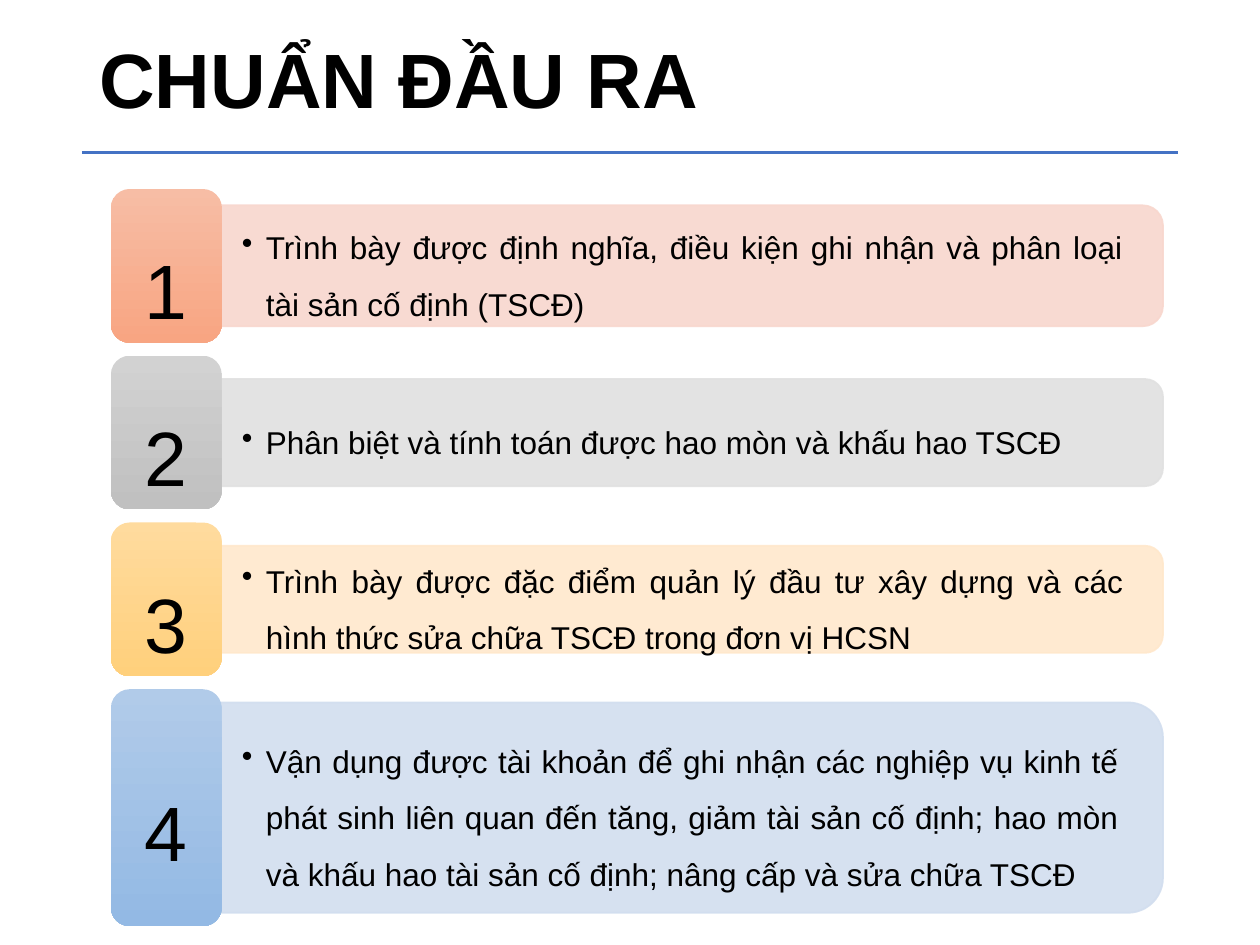
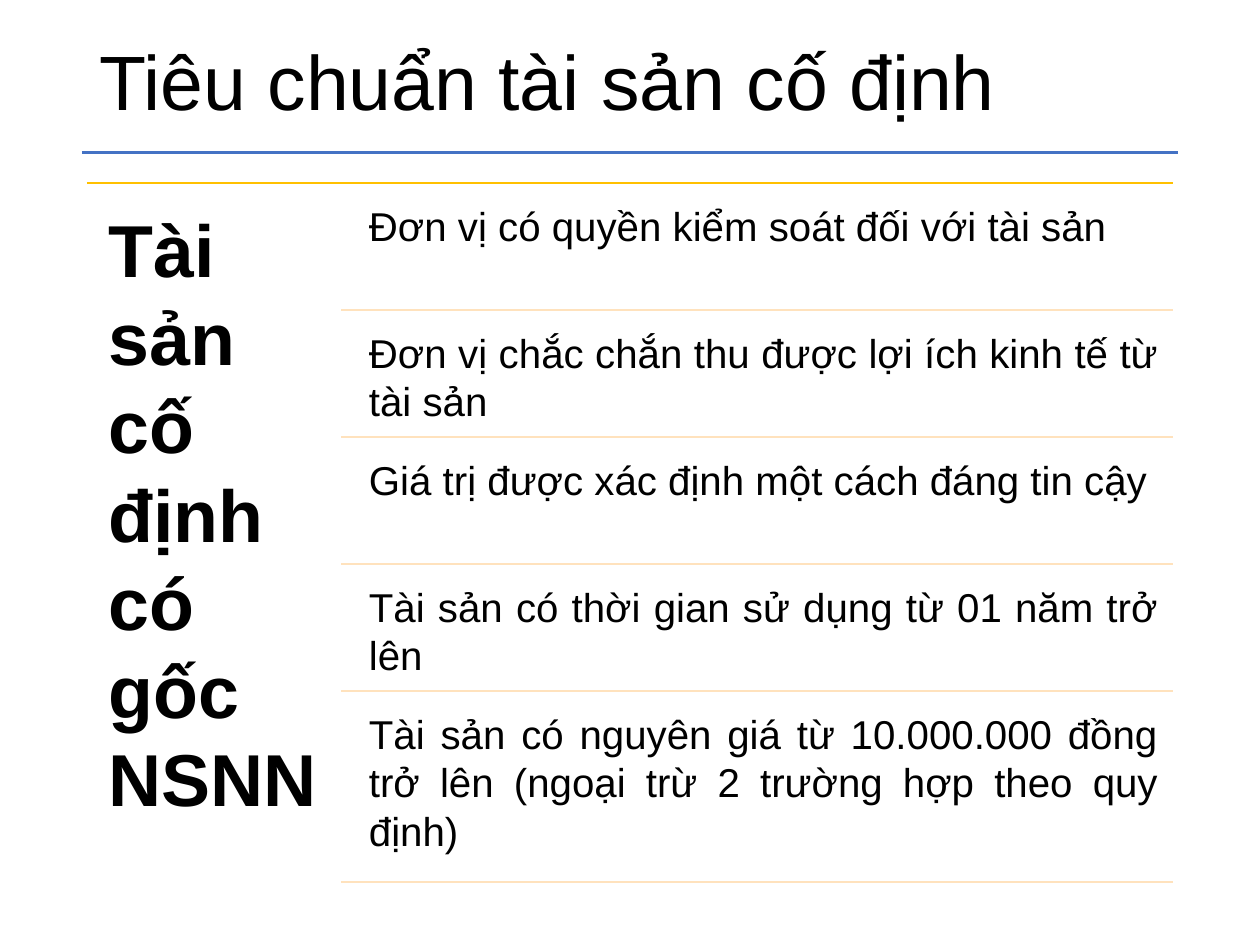
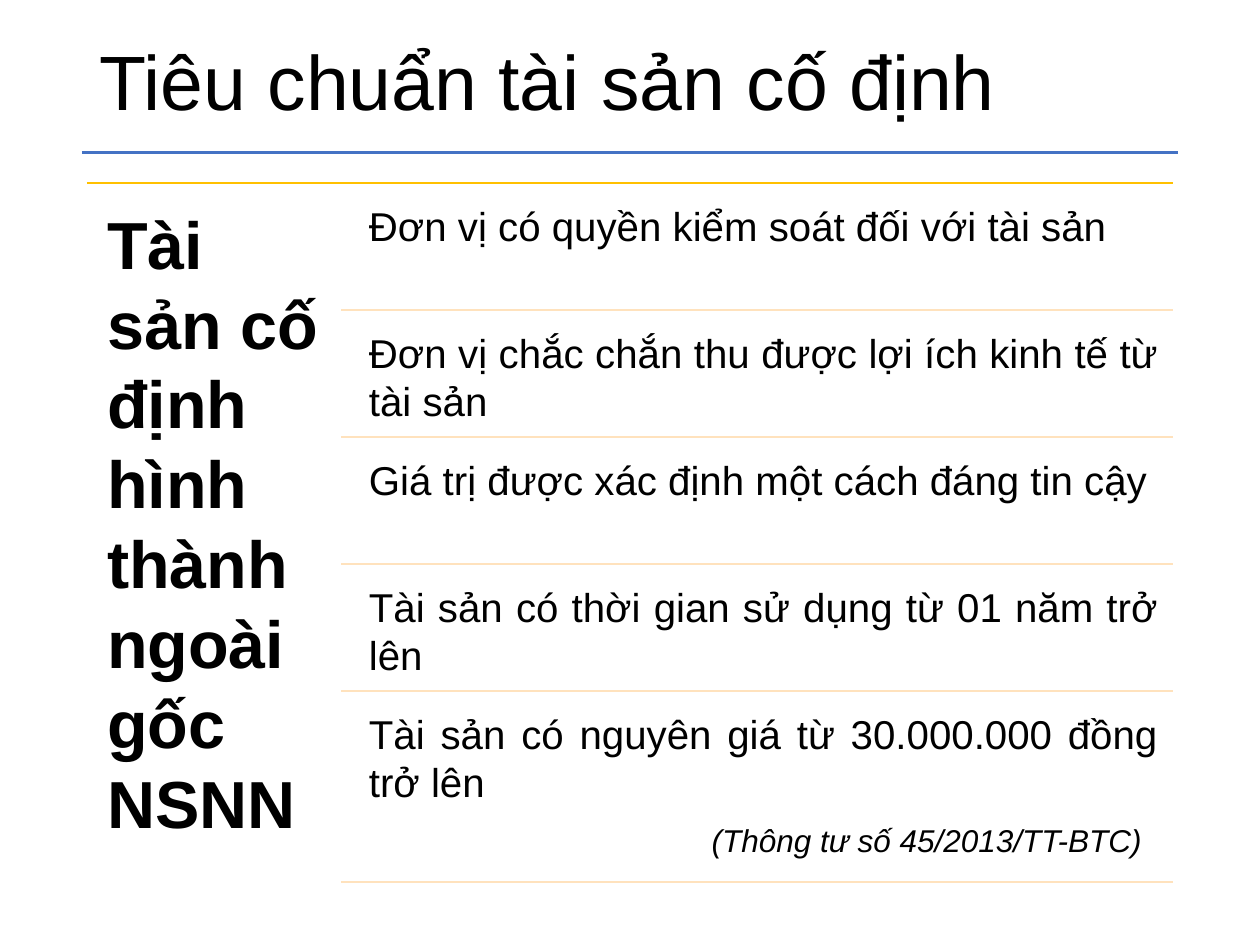
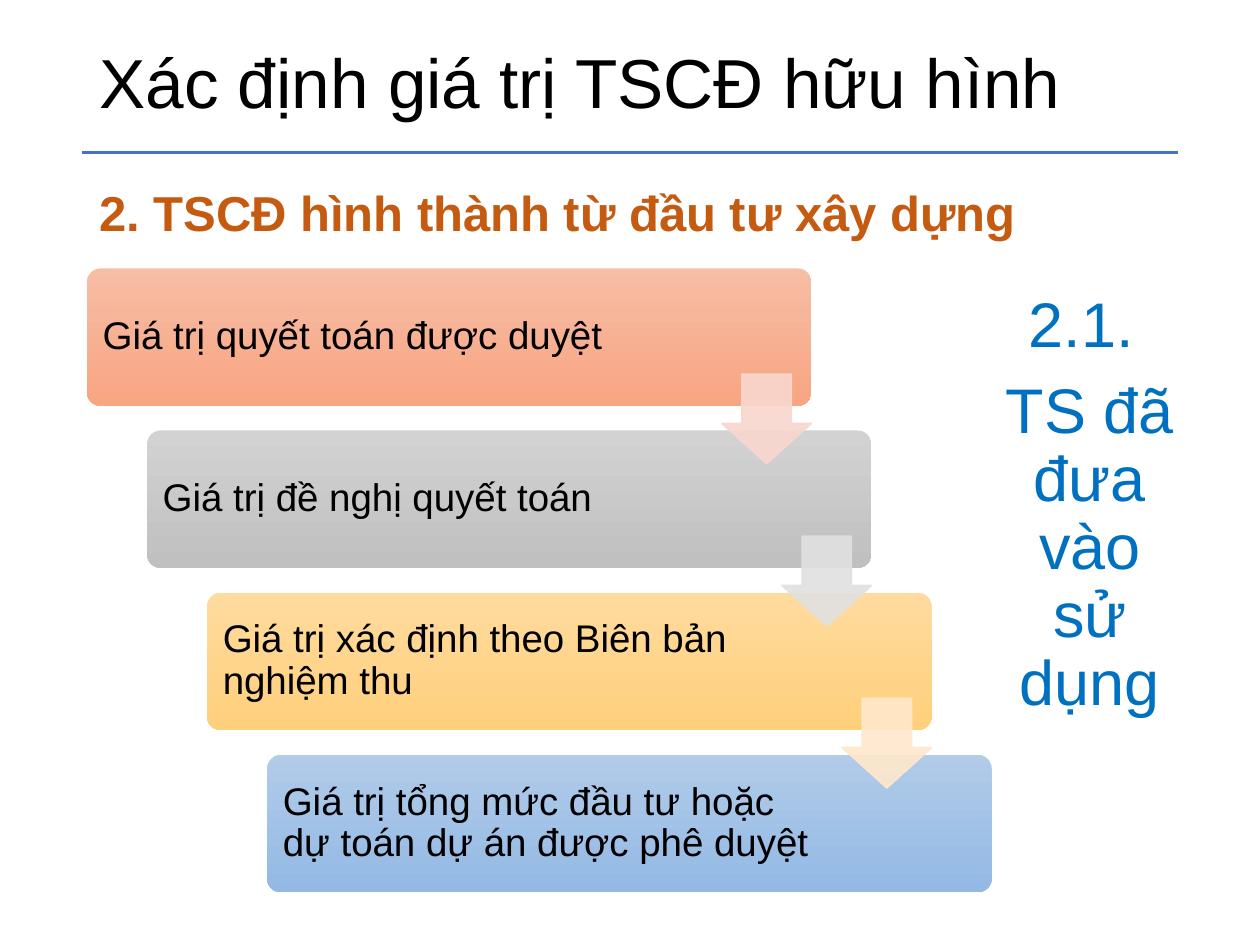
from dataclasses import dataclass

from lxml.etree import SubElement
from pptx import Presentation
from pptx.dml.color import RGBColor
from pptx.enum.shapes import MSO_CONNECTOR, MSO_SHAPE
from pptx.enum.text import MSO_ANCHOR as Anchor, PP_ALIGN as Align
from pptx.oxml.ns import qn
from pptx.util import Inches, Pt

SLIDE_WIDTH, SLIDE_HEIGHT = Inches(10), Inches(7.5)
COLUMNS, ROWS = 100, 75
FONT = "Arial"
BLACK, HEADER_BLUE, GOLD, PALE_GOLD = "000000", "4472C4", "FFC000", "FFE2BD"
SUBTITLE_ORANGE, NOTE_BLUE = "C55A11", "0070C0"
GRADIENTS = [("F7BDA5", "F8A582"), ("D2D2D2", "C0C0C0"),
             ("FFDB9E", "FFD07C"), ("B1CBE9", "93B9E4")]
TINTS = ["F8D7CE", "E1E1E1", "FFE8CC", "D2DEEF"]

OUTCOMES = [
    ("Trình bày được định nghĩa, điều kiện ghi nhận và phân loại tài sản cố định (TSCĐ)", 12.2, 9.6),
    ("Phân biệt và tính toán được hao mòn và khấu hao TSCĐ", 12.2, 8.5),
    ("Trình bày được đặc điểm quản lý đầu tư xây dựng và các hình thức sửa chữa TSCĐ "
     "trong đơn vị HCSN", 12.2, 8.5),
    ("Vận dụng được tài khoản để ghi nhận các nghiệp vụ kinh tế phát sinh liên quan đến tăng, "
     "giảm tài sản cố định; hao mòn và khấu hao tài sản cố định; nâng cấp và sửa chữa TSCĐ",
     18.8, 16.7),
]
CRITERIA_TITLE = "Tiêu chuẩn tài sản cố định"
SHARED_CRITERIA = [
    "Đơn vị có quyền kiểm soát đối với tài sản",
    "Đơn vị chắc chắn thu được lợi ích kinh tế từ tài sản",
    "Giá trị được xác định một cách đáng tin cậy",
    "Tài sản có thời gian sử dụng từ 01 năm trở lên",
]
VALUATIONS = [
    "Giá trị quyết toán được duyệt",
    "Giá trị đề nghị quyết toán",
    "Giá trị xác định theo Biên bản nghiệm thu",
    "Giá trị tổng mức đầu tư hoặc dự toán dự án được phê duyệt",
]


@dataclass
class Box:
    """A rectangle measured in grid columns and rows."""
    left: float
    top: float
    width: float
    height: float

    def inner(self, left, top, width, height):
        """Return a box placed relative to this one."""
        return Box(self.left + left, self.top + top, width, height)

    def emu(self):
        """Return left, top, width and height in slide units."""
        column, row = SLIDE_WIDTH / COLUMNS, SLIDE_HEIGHT / ROWS
        return (round(self.left * column), round(self.top * row),
                round(self.width * column), round(self.height * row))


CRITERIA_BOX = Box(6.9, 14.5, 86.2, 56)


def rgb(hex_code):
    """Turn a hex string into a colour."""
    return RGBColor.from_string(hex_code)


def add_rule(slide, box, color, weight):
    """Draw a horizontal line along the top of the box."""
    left, top, width, _ = box.emu()
    rule = slide.shapes.add_connector(MSO_CONNECTOR.STRAIGHT, left, top, left + width, top)
    rule.line.color.rgb = rgb(color)
    rule.line.width = Pt(weight)
    SubElement(rule._element.spPr, qn("a:effectLst"))


def add_text(slide, box, lines, size, color=BLACK, bold=False, italic=False, align=Align.LEFT,
             anchor=Anchor.TOP, spacing=1.0, before=0, insets=(0.1, 0.05), bullet=False):
    """Add a wrapped text box with one paragraph for each line."""
    frame = slide.shapes.add_textbox(*box.emu()).text_frame
    frame.word_wrap = True
    frame.vertical_anchor = anchor
    frame.margin_left = frame.margin_right = Inches(insets[0])
    frame.margin_top = frame.margin_bottom = Inches(insets[1])
    frame.text = "\n".join(lines)
    for index, paragraph in enumerate(frame.paragraphs):
        if bullet:
            properties = paragraph._p.get_or_add_pPr()
            properties.set("marL", str(Inches(0.19)))
            properties.set("indent", str(-Inches(0.19)))
            SubElement(properties, qn("a:buChar")).set("char", "•")
            paragraph.level = 1
        paragraph.alignment = align
        paragraph.line_spacing = spacing
        if index:
            paragraph.space_before = Pt(before)
        for run in paragraph.runs:
            font = run.font
            font.name, font.size, font.bold, font.italic = FONT, Pt(size), bold, italic
            font.color.rgb = rgb(color)


def add_gradient_card(slide, box, colors, corner):
    """Add a rounded card shaded from top to bottom."""
    card = slide.shapes.add_shape(MSO_SHAPE.ROUNDED_RECTANGLE, *box.emu())
    card.adjustments[0] = corner
    card.shadow.inherit = False
    card.line.fill.background()
    card.fill.gradient()
    card.fill.gradient_angle = 270
    for stop, color in zip(card.fill.gradient_stops, colors):
        stop.color.rgb = rgb(color)


def add_tinted_shape(slide, kind, box, color):
    """Add a preset shape whose fill and line are slightly transparent."""
    tinted = slide.shapes.add_shape(kind, *box.emu())
    tinted.shadow.inherit = False
    tinted.fill.solid()
    tinted.fill.fore_color.rgb = rgb(color)
    tinted.line.color.rgb = rgb(color)
    tinted.line.width = Pt(1)
    for solid in tinted._element.spPr.iter(qn("a:srgbClr")):
        SubElement(solid, qn("a:alpha")).set("val", "90000")
    return tinted


def add_titled_slide(deck, title, size=44, bold=False, height=10.6):
    """Add a blank slide with the shared header line and title."""
    slide = deck.slides.add_slide(deck.slide_layouts[6])
    add_rule(slide, Box(6.5, 12.1, 87, 0), HEADER_BLUE, 1.5)
    add_text(slide, Box(6.9, 1.5, 86.2, height), [title], size, bold=bold,
             anchor=Anchor.MIDDLE, spacing=0.9)
    return slide


def add_outcome(slide, box, number, outcome, band_height):
    """Add a numbered badge with its band, centred on the badge."""
    band = box.inner(7.7, (box.height - band_height) / 2, box.width - 7.7, band_height)
    upright = band.inner((band.width - band_height) / 2, (band_height - band.width) / 2,
                         band_height, band.width)
    add_tinted_shape(slide, MSO_SHAPE.ROUND_2_SAME_RECTANGLE, upright,
                     TINTS[number - 1]).rotation = 90
    label = band.inner(0, band_height * 0.05, band.width - band_height * 0.05, band_height * 0.9)
    add_text(slide, label, [outcome], 18, align=Align.JUSTIFY, anchor=Anchor.MIDDLE,
             spacing=1.5, insets=(0.27, 0.14), bullet=True)
    add_gradient_card(slide, box.inner(0, 0, 8.8, box.height), GRADIENTS[number - 1], 0.17)
    add_text(slide, box.inner(0.4, 0.4, 8, box.height - 0.8), [str(number)], 44,
             align=Align.CENTER, anchor=Anchor.MIDDLE, spacing=1.5, insets=(0.18, 0.09))


def add_outcome_list(slide, box):
    """Stack the learning outcomes with equal gaps."""
    gap = (box.height - sum(height for _, height, _ in OUTCOMES)) / (len(OUTCOMES) - 1)
    top = 0
    for number, (outcome, height, band_height) in enumerate(OUTCOMES, 1):
        add_outcome(slide, box.inner(0, top, box.width, height), number, outcome, band_height)
        top += height + gap


def add_criteria(slide, box, heading, heading_size, heading_inset, last_criterion):
    """Add a heading column and the ruled list of criteria beside it."""
    add_rule(slide, box, GOLD, 1)
    add_text(slide, box.inner(0, 0, 20.2, box.height), [heading], heading_size, bold=True,
             insets=(heading_inset, heading_inset))
    gap, top = 0.48, 0.48
    heights = [9.6] * len(SHARED_CRITERIA) + [14.7]
    for criterion, height in zip(SHARED_CRITERIA + [last_criterion], heights):
        add_text(slide, box.inner(21.4, top, 64.7, height), [criterion], 23,
                 align=Align.JUSTIFY, insets=(0.1, 0.1))
        add_rule(slide, box.inner(20.2, top + height, box.width - 20.2, 0), PALE_GOLD, 1)
        top += height + gap


def add_staircase(slide, box):
    """Add the valuation cards as descending steps joined by arrows."""
    width, height, arrow = 57.5, 10.9, 7.1
    last = len(VALUATIONS) - 1
    steps = [box.inner(index * (box.width - width) / last, index * (box.height - height) / last,
                       width, height) for index in range(len(VALUATIONS))]
    for step, valuation, colors in zip(steps, VALUATIONS, GRADIENTS):
        add_gradient_card(slide, step, colors, 0.1)
        add_text(slide, step.inner(0.35, 0.35, 45, height - 0.7), [valuation], 22,
                 anchor=Anchor.MIDDLE, spacing=0.9, insets=(0.09, 0.09))
    for step, tint in zip(steps[:-1], TINTS):
        pointer = add_tinted_shape(slide, MSO_SHAPE.DOWN_ARROW,
                                   step.inner(width - arrow, 8.4, arrow, arrow), tint)
        pointer.adjustments[0], pointer.adjustments[1] = 0.55, 0.45


def build_outcomes_slide(deck):
    """Build the slide of learning outcomes."""
    slide = add_titled_slide(deck, "CHUẨN ĐẦU RA", bold=True, height=10.3)
    add_outcome_list(slide, Box(8.8, 15, 83.5, 58.5))


def build_budget_criteria_slide(deck):
    """Build the criteria for assets funded by the state budget."""
    slide = add_titled_slide(deck, CRITERIA_TITLE)
    add_criteria(slide, CRITERIA_BOX, "Tài sản cố định có gốc NSNN", 42, 0.17,
                 "Tài sản có nguyên giá từ 10.000.000 đồng trở lên "
                 "(ngoại trừ 2 trường hợp theo quy định)")


def build_other_criteria_slide(deck):
    """Build the criteria for assets from other funding."""
    slide = add_titled_slide(deck, CRITERIA_TITLE)
    add_criteria(slide, CRITERIA_BOX, "Tài sản cố định hình thành ngoài gốc NSNN", 38, 0.16,
                 "Tài sản có nguyên giá từ 30.000.000 đồng trở lên")
    add_text(slide, Box(55.5, 64.7, 37.6, 4), ["(Thông tư số 45/2013/TT-BTC)"], 18, italic=True)


def build_valuation_slide(deck):
    """Build the slide on valuing assets built through investment."""
    slide = add_titled_slide(deck, "Xác định giá trị TSCĐ hữu hình", size=39.6)
    add_text(slide, Box(6.9, 14.5, 86.2, 6), ["2. TSCĐ hình thành từ đầu tư xây dựng"], 28,
             color=SUBTITLE_ORANGE, bold=True, spacing=0.9)
    add_staircase(slide, Box(6.9, 21.3, 71.8, 49.5))
    add_text(slide, Box(78.8, 22.8, 15.4, 38.3), ["2.1. ", "TS đã đưa vào sử dụng"], 36,
             color=NOTE_BLUE, align=Align.CENTER, spacing=0.9, before=10)


def main():
    """Build and save the deck."""
    deck = Presentation()
    deck.slide_width, deck.slide_height = SLIDE_WIDTH, SLIDE_HEIGHT
    build_outcomes_slide(deck)
    build_budget_criteria_slide(deck)
    build_other_criteria_slide(deck)
    build_valuation_slide(deck)
    deck.save("out.pptx")


if __name__ == "__main__":
    main()
